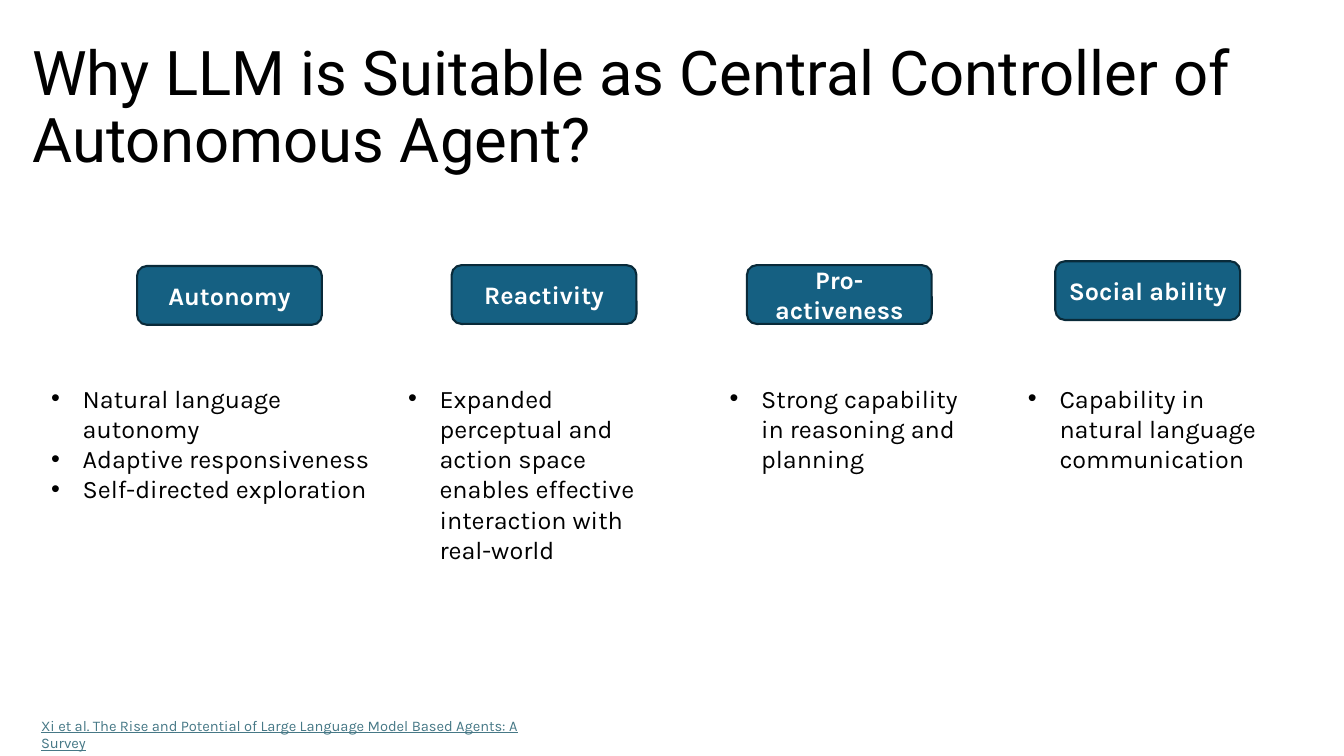
from lxml import etree
from pptx import Presentation
from pptx.dml.color import RGBColor
from pptx.enum.shapes import MSO_SHAPE
from pptx.enum.text import MSO_ANCHOR, PP_ALIGN
from pptx.oxml.ns import qn
from pptx.util import Pt

ROUNDED = MSO_SHAPE.ROUNDED_RECTANGLE
MIDDLE, BOTTOM = MSO_ANCHOR.MIDDLE, MSO_ANCHOR.BOTTOM
CENTER = PP_ALIGN.CENTER

COLORS = {
    "text": "000000",
    "label": "FFFFFF",
    "fill": "156082",
    "border": "092A39",
    "citation": "467886",
}
LABEL_W, LABEL_H = 132, 42
BULLETS_TOP = 270
INDENT = 22.5

# label, label left and top, bullets left, width and height, bullets
TRAITS = [
    ("Autonomy", 97.9, 190, 29.5, 255, 94.5,
     ["Natural language autonomy", "Adaptive responsiveness",
      "Self-directed exploration"]),
    ("Reactivity", 322.6, 189.4, 284.4, 208, 116.5,
     ["Expanded perceptual and action space enables effective "
      "interaction with real-world"]),
    ("Pro-activeness", 533.5, 189.4, 514.1, 183.6, 72.7,
     ["Strong capability in reasoning and planning"]),
    ("Social ability", 753.8, 186.6, 727.2, 183.6, 72.7,
     ["Capability in natural language communication"]),
]


def rgb(name):
    return RGBColor.from_string(COLORS[name])


def add_run(p, text, size, color, font="Karla"):
    r = p.add_run()
    r.text = text
    r.font.name = font
    r.font.size = Pt(size)
    r.font.color.rgb = rgb(color)
    return r


def add_text_frame(slide, x, y, w, h):
    tf = slide.shapes.add_textbox(Pt(x), Pt(y), Pt(w), Pt(h)).text_frame
    tf.word_wrap = True
    return tf


def add_title(slide, x, y, w, h):
    tf = add_text_frame(slide, x, y, w, h)
    tf.vertical_anchor = BOTTOM
    p = tf.paragraphs[0]
    p.line_spacing = 0.9
    add_run(p, "Why LLM is Suitable as Central Controller of "
               "Autonomous Agent?", 44, "text", "Roboto")


def add_label(slide, x, y, text):
    sp = slide.shapes.add_shape(ROUNDED, Pt(x), Pt(y), Pt(LABEL_W), Pt(LABEL_H))
    sp.shadow.inherit = False
    sp.fill.solid()
    sp.fill.fore_color.rgb = rgb("fill")
    sp.line.color.rgb = rgb("border")
    sp.line.width = Pt(1.5)
    tf = sp.text_frame
    tf.word_wrap = True
    tf.vertical_anchor = MIDDLE
    p = tf.paragraphs[0]
    p.alignment = CENTER
    add_run(p, text, 18, "label").font.bold = True


def set_bullet(p):
    pPr = p._p.get_or_add_pPr()
    pPr.set("marL", str(Pt(INDENT)))
    pPr.set("indent", str(-Pt(INDENT)))
    etree.SubElement(pPr, qn("a:buFont")).set("typeface", "Arial")
    etree.SubElement(pPr, qn("a:buChar")).set("char", "•")


def add_bullets(slide, x, y, w, h, items):
    tf = add_text_frame(slide, x, y, w, h)
    for i, item in enumerate(items):
        p = tf.add_paragraph() if i else tf.paragraphs[0]
        set_bullet(p)
        add_run(p, item, 18, "text")


def add_citation(slide, x, y, w, h):
    p = add_text_frame(slide, x, y, w, h).paragraphs[0]
    r = add_run(p, "Xi et al. The Rise and Potential of Large Language Model "
                   "Based Agents: A Survey", 10.5, "citation")
    r.font.underline = True


def main():
    prs = Presentation()
    prs.slide_width, prs.slide_height = Pt(960), Pt(540)
    slide = prs.slides.add_slide(prs.slide_layouts[6])
    add_title(slide, 16, 0, 944, 129)
    add_citation(slide, 22.3, 508.3, 381.6, 20.2)
    for label, label_x, label_y, x, w, h, items in TRAITS:
        add_label(slide, label_x, label_y, label)
        add_bullets(slide, x, BULLETS_TOP, w, h, items)
    prs.save("out.pptx")


if __name__ == "__main__":
    main()
